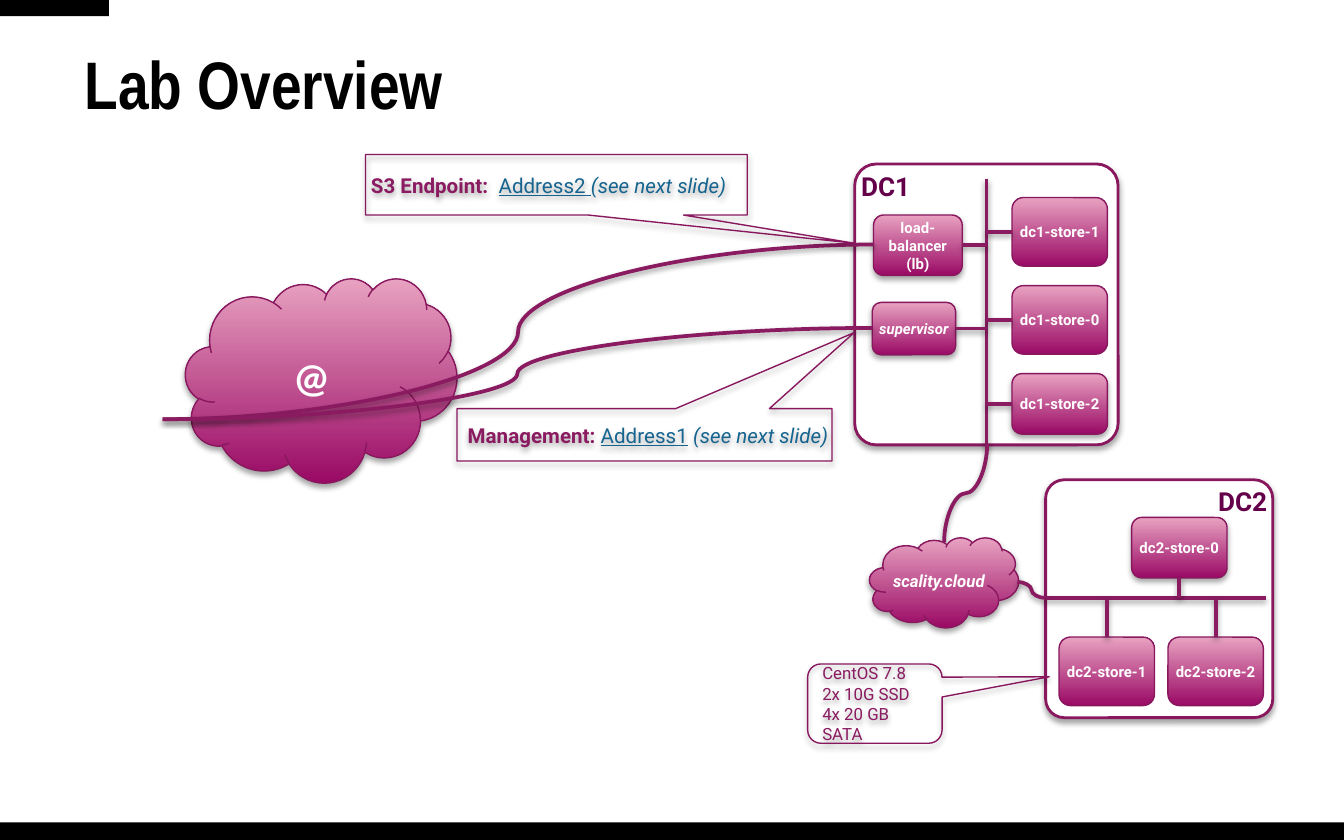
from lxml import etree
from pptx import Presentation
from pptx.dml.color import RGBColor
from pptx.enum.shapes import MSO_CONNECTOR, MSO_SHAPE
from pptx.enum.text import MSO_ANCHOR, PP_ALIGN
from pptx.oxml.ns import qn
from pptx.util import Inches, Pt

RECT, ROUND, CLOUD = MSO_SHAPE.RECTANGLE, MSO_SHAPE.ROUNDED_RECTANGLE, MSO_SHAPE.CLOUD
CALL, SOFT = MSO_SHAPE.RECTANGULAR_CALLOUT, MSO_SHAPE.ROUNDED_RECTANGULAR_CALLOUT
LINE, CURVE = MSO_CONNECTOR.STRAIGHT, MSO_CONNECTOR.CURVE
LEFT, MID, RIGHT = PP_ALIGN.LEFT, PP_ALIGN.CENTER, PP_ALIGN.RIGHT
TOP, CENTER = MSO_ANCHOR.TOP, MSO_ANCHOR.MIDDLE
N, W, S, E = range(4)  # connection sites

WIDE, HIGH = 10, 6.25
EDGE, WIRE, DEEP, BLUE = "88175E", "8A1B61", "640049", "15648F"
GRAD = ["9A0A65", "E8A2C1"]
BUS1, BUS2 = 7.34, 4.45  # x of the DC1 bus, y of the DC2 bus
SLIM, THIN = (0, 0.04, 0, 0.04), (0.08, 0.04, 0.08, 0.04)

# Content: name, place, text format
BARS = [(0, 6.12, WIDE, 0.13), (0, 0, 0.81, 0.12)]
ZONES = [
    ("DC2", (7.78, 3.57, 1.69, 1.77), RIGHT),
    ("DC1", (6.36, 1.22, 1.96, 2.09), LEFT),
]
NODES = {
    "supervisor": (6.49, 2.25, 0.62, 0.39),
    "load-\nbalancer (lb)": (6.5, 1.6, 0.66, 0.45),
    "dc2-store-0": (8.42, 3.85, 0.71, 0.45),
}
for i, (name, tall) in enumerate([("dc1-store-1", 0.51), ("dc1-store-0", 0.51), ("dc1-store-2", 0.45)]):
    NODES[name] = (7.53, 1.47 + 0.655 * i, 0.71, tall)
for i in range(2):
    NODES[f"dc2-store-{i + 1}"] = (7.88 + 0.81 * i, 4.74, 0.71, 0.51)
FLAT = ["dc1-store-0", "dc1-store-1", "dc2-store-1", "dc2-store-2"]  # no shadow
LINKS = [  # node, side that meets the bus
    ("supervisor", E), ("load-\nbalancer (lb)", E),
    ("dc1-store-0", W), ("dc1-store-1", W), ("dc1-store-2", W),
    ("dc2-store-0", S), ("dc2-store-1", N), ("dc2-store-2", N),
]
CLOUDS = [
    ("scality.cloud", (6.47, 4, 1.11, 0.67), (0, 0, 0, 0), {"size": 9, "italic": True}),
    ("@", (1.38, 2.07, 2.02, 1.52), THIN, {"size": 22, "name": "Calibri"}),
]
CURVES = [(1.21, 3.12, 6.5, 1.82), (1.21, 3.12, 6.49, 2.44), (7.78, 4.45, 7.57, 4.33)]
HEAD = {"size": 11, "color": WIRE, "bold": True}
LINK = {"size": 11, "color": BLUE, "underline": True}
HINT = {"size": 11, "color": BLUE, "italic": True}
SPEC = {"size": 9, "color": WIRE}
NOTES = [  # kind, place, adjustments, insets, paragraphs of runs
    (CALL, (3.4, 3.04, 2.79, 0.39), (0.559, -1.949), (0.08, 0.04, 0, 0.04),
     [[("Management: ", HEAD), ("Address1", LINK), (" ", {"size": 11}), ("(see next slide)", HINT)]]),
    (CALL, (2.72, 1.15, 2.84, 0.45), (0.779, 0.965), (0.04,) * 4,
     [[("S3 Endpoint:  ", HEAD), ("Address2 ", LINK), ("(see next slide)", HINT)]]),
    (SOFT, (6.01, 4.94, 1, 0.59), (1.298, -0.338, 0.167), THIN,
     [[(row, SPEC)] for row in ("CentOS 7.8", "2x 10G SSD", "4x 20 GB SATA")]),
]

deck = Presentation()
deck.slide_width, deck.slide_height = Inches(WIDE), Inches(HIGH)
slide = deck.slides.add_slide(deck.slide_layouts[6])
shapes = slide.shapes


def rgb(code):
    return RGBColor.from_string(code)


def shade(part, alpha=35, dist=1.8):
    """Give a part a soft shadow below it, or none when alpha is 0."""
    props = part._element.spPr
    for old in props.findall(qn("a:effectLst")):
        props.remove(old)
    glow = etree.SubElement(props, qn("a:effectLst"))
    if alpha:
        drop = etree.SubElement(glow, qn("a:outerShdw"), blurRad=str(Pt(3.1)), dist=str(Pt(dist)),
                                dir="5400000", rotWithShape="0")
        tint = etree.SubElement(drop, qn("a:srgbClr"), val="000000")
        etree.SubElement(tint, qn("a:alpha"), val=str(alpha * 1000))


def write(part, paras, inset, align=LEFT, anchor=CENTER):
    frame = part.text_frame
    frame.word_wrap, frame.vertical_anchor = True, anchor
    for side, gap in zip(("left", "top", "right", "bottom"), inset):
        setattr(frame, f"margin_{side}", Inches(gap))
    for i, runs in enumerate(paras):
        para = frame.add_paragraph() if i else frame.paragraphs[0]
        para.alignment = align
        for text, form in runs:
            form = {"name": "Roboto", "color": "000000", **form}
            for j, piece in enumerate(text.split("\n")):
                if j:
                    para.add_line_break()
                run = para.add_run()
                run.text = piece
                for key, val in form.items():
                    if key == "color":
                        run.font.color.rgb = rgb(val)
                    else:
                        setattr(run.font, key, Pt(val) if key == "size" else val)


def draw(kind, place, fill=None, line=0.75, adj=(), alpha=35):
    part = shapes.add_shape(kind, *map(Inches, place))
    for i, val in enumerate(adj):
        part.adjustments[i] = val
    if fill is None:
        part.fill.background()
    elif fill is GRAD:
        part.fill.gradient()
        part.fill.gradient_angle = 90
        for i, stop in enumerate(part.fill.gradient_stops):
            stop.color.rgb, stop.position = rgb(GRAD[i]), i
    else:
        part.fill.solid()
        part.fill.fore_color.rgb = rgb(fill)
    if line:
        part.line.color.rgb, part.line.width = rgb(EDGE), Pt(line)
    else:
        part.line.fill.background()
    shade(part, alpha)
    return part


def wire(kind, *ends):
    part = shapes.add_connector(kind, *map(Inches, ends))
    part.line.color.rgb, part.line.width = rgb(WIRE), Pt(2)
    shade(part, 38, 1.6)
    return part


# Bars and title
for place in BARS:
    draw(RECT, place, "000000", 0, alpha=0)
title = shapes.add_textbox(*map(Inches, (0.55, 0.26, 8.89, 0.79)))
write(title, [[("Lab Overview", {"size": 36, "name": "Arial Narrow", "bold": True})]], THIN)
title.text_frame.paragraphs[0].line_spacing = 0.9

# Data centres and their buses
for name, place, align in ZONES:
    zone = draw(ROUND, place, "FFFFFF", 1.5, [0.082])
    write(zone, [[(name, {"size": 14, "color": DEEP, "bold": True})]],
          (0, 0, 0 if align == RIGHT else 0.08, 0), align, TOP)
wire(LINE, 7.78, BUS2, 9.42, BUS2)
wire(LINE, BUS1, 1.33, BUS1, 3.31)

# Servers, each joined to its bus
parts = {}
for name, place in NODES.items():
    node = parts[name] = draw(ROUND, place, GRAD, alpha=0 if name in FLAT else 35)
    form = {"size": 8, "color": "FFFFFF", "bold": True, "italic": name == "supervisor"}
    write(node, [[(name, form)]], THIN if "\n" in name else SLIM, MID)
for name, side in LINKS:
    x, y, wide, tall = NODES[name]
    across, down = x + wide / 2, y + tall / 2
    ends = (BUS1, down) if side in (W, E) else (across, BUS2)
    wire(LINE, *ends, *ends).end_connect(parts[name], side)

# Curve from DC1 down to the cloud, turned a quarter
drop = wire(CURVE, 6.82, 3.51, 7.55, 3.83)
drop._element.spPr.find(qn("a:xfrm")).set("rot", "5400000")

# Clouds and the curves that leave them
for name, place, inset, form in CLOUDS:
    cloud = draw(CLOUD, place, GRAD)
    write(cloud, [[(name, {"color": "FFFFFF", "bold": True, **form})]], inset, MID)
for ends in CURVES:
    wire(CURVE, *ends)

# Callouts
for kind, place, adj, inset, paras in NOTES:
    write(draw(kind, place, adj=adj), paras, inset)

deck.save("out.pptx")
